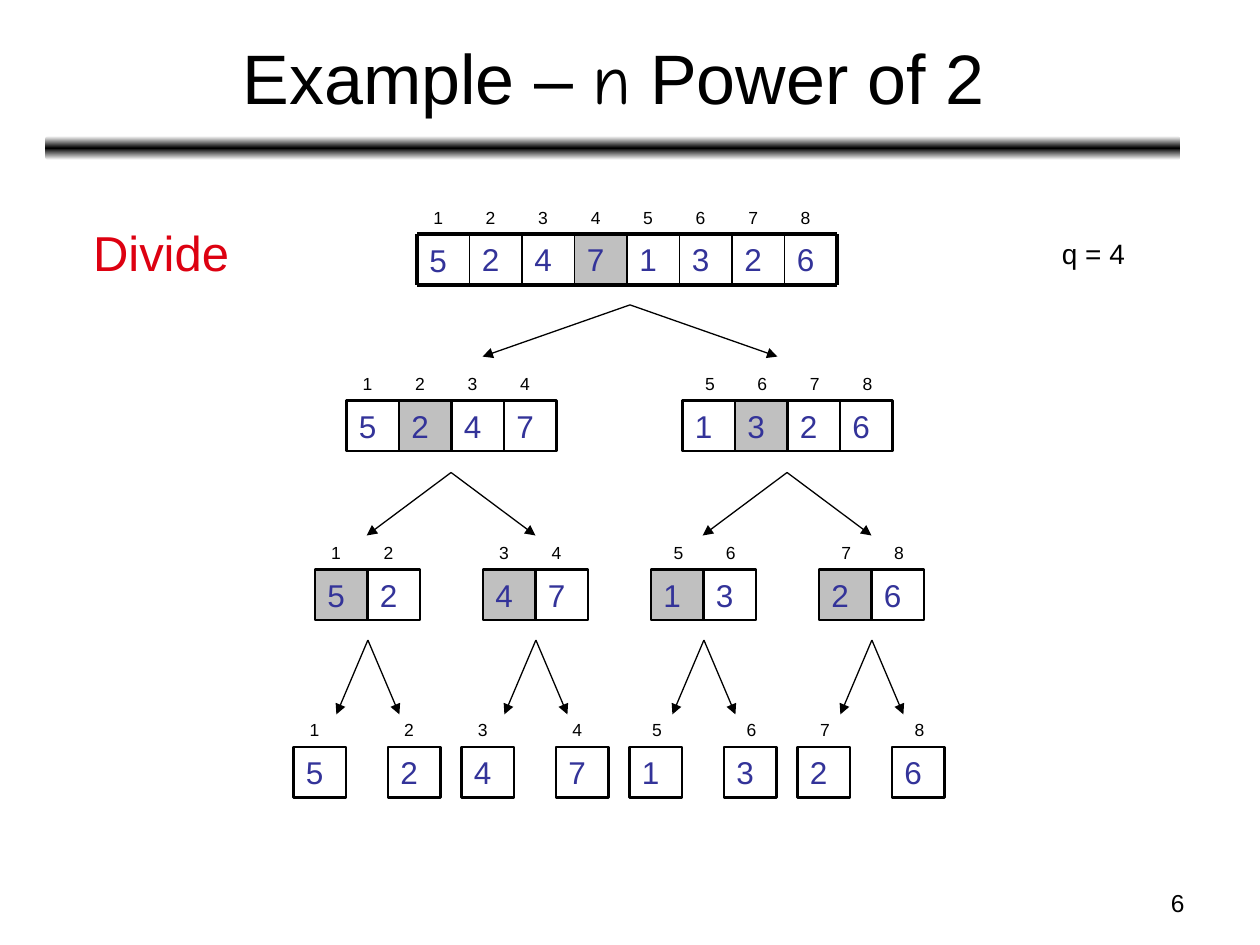
from copy import deepcopy

from lxml import etree
from pptx import Presentation
from pptx.dml.color import RGBColor
from pptx.enum import shapes, text
from pptx.oxml import ns
from pptx.util import Inches, Pt

BLACK = RGBColor(0x00, 0x00, 0x00)
WHITE = RGBColor(0xFF, 0xFF, 0xFF)
GREY = RGBColor(0xC0, 0xC0, 0xC0)
BLUE = RGBColor(0x33, 0x33, 0x99)
RED = RGBColor(0xDD, 0x01, 0x11)

VALUES = [5, 2, 4, 7, 1, 3, 2, 6]
CELL_WIDTH, CELL_HEIGHT = 5 / 12, 0.4
PAIR_STEP = 4 / 3


class SlideWriter:
    font = "Arial"

    def __init__(self, page):
        self.page = page

    def style(self, para, size, color, align=text.PP_ALIGN.LEFT):
        para.alignment = align
        for span in para.runs:
            span.font.name = self.font
            span.font.size = Pt(size)
            span.font.color.rgb = color

    def label(self, left, top, width, height, words, size, color=BLACK,
              align=text.PP_ALIGN.LEFT):
        box = self.page.shapes.add_textbox(
            Inches(left), Inches(top), Inches(width), Inches(height))
        box.text_frame.word_wrap = True
        box.text_frame.text = words
        self.style(box.text_frame.paragraphs[0], size, color, align)
        return box

    def title(self, left, top, width, height, parts):
        box = self.label(left, top, width, height, "", 40)
        box.text_frame.vertical_anchor = text.MSO_ANCHOR.MIDDLE
        para = box.text_frame.paragraphs[0]
        for words, _ in parts:
            para.add_run().text = words
        self.style(para, 40, BLACK, text.PP_ALIGN.CENTER)
        for span, (_, font) in zip(para.runs, parts):
            span.font.name = font

    def gradient_bar(self, left, top, width, height):
        bar = self.page.shapes.add_shape(
            shapes.MSO_SHAPE.ROUNDED_RECTANGLE,
            Inches(left), Inches(top), Inches(width), Inches(height))
        bar.shadow.inherit = False
        bar.line.fill.background()
        bar.fill.gradient()
        bar.fill.gradient_angle = 90
        stop_list = bar._element.spPr.find(".//" + ns.qn("a:gsLst"))
        stop_list.insert(1, deepcopy(stop_list[0]))
        for stop, position, color in zip(bar.fill.gradient_stops, (0, 0.5, 1),
                                         (WHITE, BLACK, WHITE)):
            stop.position = position
            stop.color.rgb = color

    def cell(self, left, top, value, shaded, outlined, centred):
        box = self.page.shapes.add_shape(
            shapes.MSO_SHAPE.RECTANGLE, Inches(left), Inches(top),
            Inches(CELL_WIDTH), Inches(CELL_HEIGHT))
        box.shadow.inherit = False
        if shaded:
            box.fill.solid()
            box.fill.fore_color.rgb = GREY
        else:
            box.fill.background()
        if outlined:
            box.line.color.rgb = BLACK
            box.line.width = Pt(1.5)
        else:
            box.line.fill.background()
        frame = box.text_frame
        frame.word_wrap = not centred
        frame.vertical_anchor = (text.MSO_ANCHOR.MIDDLE if centred
                                 else text.MSO_ANCHOR.TOP)
        frame.text = str(value)
        self.style(frame.paragraphs[0], 18, BLUE)

    def line(self, start, end, width, arrow=False):
        link = self.page.shapes.add_connector(
            shapes.MSO_CONNECTOR.STRAIGHT, Inches(start[0]), Inches(start[1]),
            Inches(end[0]), Inches(end[1]))
        link.line.color.rgb = BLACK
        link.line.width = Pt(width)
        if arrow:
            etree.SubElement(link.line._get_or_add_ln(), ns.qn("a:tailEnd"),
                             type="triangle")
        etree.SubElement(link._element.spPr, ns.qn("a:effectLst"))

    def array(self, left, top, first, size):
        """Draw the cells first .. first + size - 1 with their indices above."""
        whole = size == len(VALUES)
        middle = first + (size - 1) // 2
        label_shift = 0.03 if whole or first <= 4 else 0.08
        for index in range(first, first + size):
            x = left + (index - first) * CELL_WIDTH
            self.label(x + label_shift, top - 0.27, 0.25, 0.27, str(index), 10)
            self.cell(x, top, VALUES[index - 1],
                      shaded=size > 1 and index == middle,
                      outlined=not whole,
                      centred=index == first and first in (1, 5))

    def grid(self, left, top, count):
        right, bottom = left + count * CELL_WIDTH, top + CELL_HEIGHT
        for y in (top, bottom):
            self.line((left, y), (right, y), 2.25)
        for i in range(count + 1):
            x = left + i * CELL_WIDTH
            self.line((x, top), (x, bottom), 2.25 if i in (0, count) else 1)

    def split(self, x, top, bottom, spread):
        for side in (-1, 1):
            self.line((x, top), (x + side * spread, bottom), 0.75, arrow=True)


def main():
    deck = Presentation()
    deck.slide_width, deck.slide_height = Inches(10), Inches(7.5)
    writer = SlideWriter(deck.slides.add_slide(deck.slide_layouts[6]))

    # Heading and page number
    writer.gradient_bar(0.36, 1.08, 9.01, 0.19)
    writer.label(7.17, 7, 2.33, 0.35, "6", 14, align=text.PP_ALIGN.RIGHT)
    writer.title(0.37, 0.11, 9, 0.99, [
        ("Example – ", "Arial"), ("n", "Comic Neue"), (" Power of 2", "Arial")])

    # Side notes
    writer.label(0.64, 1.72, 1.28, 0.57, "Divide", 28, RED)
    writer.label(8.33, 1.83, 1.08, 0.37, "q = 4", 16)

    # Arrays of each level: top, size, left edges
    levels = [
        (1.86, 8, [3.31]),
        (3.18, 4, [2.75 + 2 * PAIR_STEP * i for i in range(2)]),
        (4.52, 2, [2.5 + PAIR_STEP * i for i in range(4)]),
        (5.93, 1, [2.33 + PAIR_STEP * (i // 2) + 0.75 * (i % 2)
                   for i in range(8)]),
    ]
    for top, size, lefts in levels:
        for i, left in enumerate(lefts):
            writer.array(left, top, 1 + i * size, size)
    writer.grid(3.31, 1.86, len(VALUES))

    # Arrows between levels: apex positions, top, bottom, spread
    splits = [
        ([5], 2.42, 2.83, 1.17),
        ([3.58 + 2 * PAIR_STEP * i for i in range(2)], 3.75, 4.25, 0.67),
        ([2.92 + PAIR_STEP * i for i in range(4)], 5.08, 5.67, 0.25),
    ]
    for apexes, top, bottom, spread in splits:
        for x in apexes:
            writer.split(x, top, bottom, spread)

    deck.save("out.pptx")


if __name__ == "__main__":
    main()
